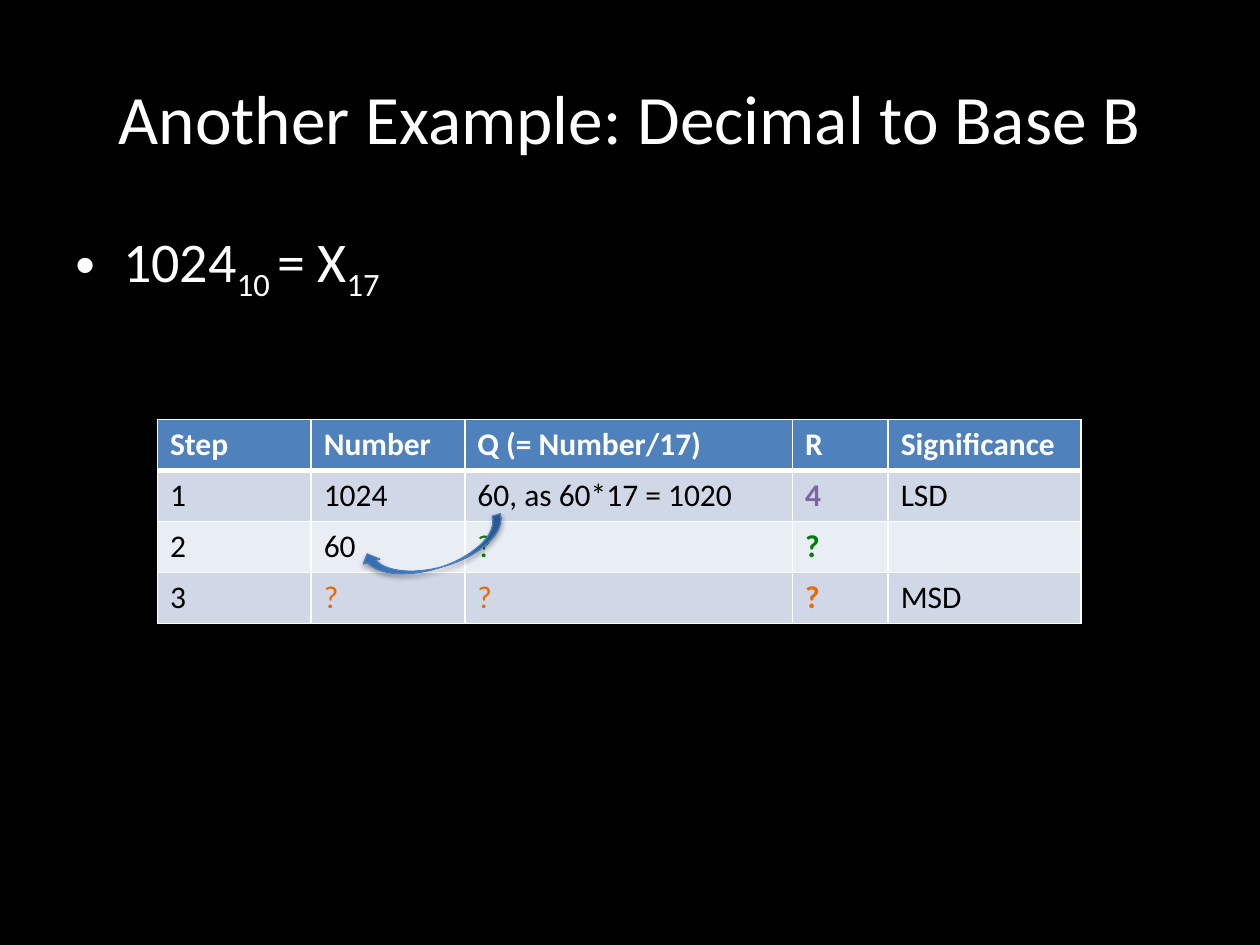
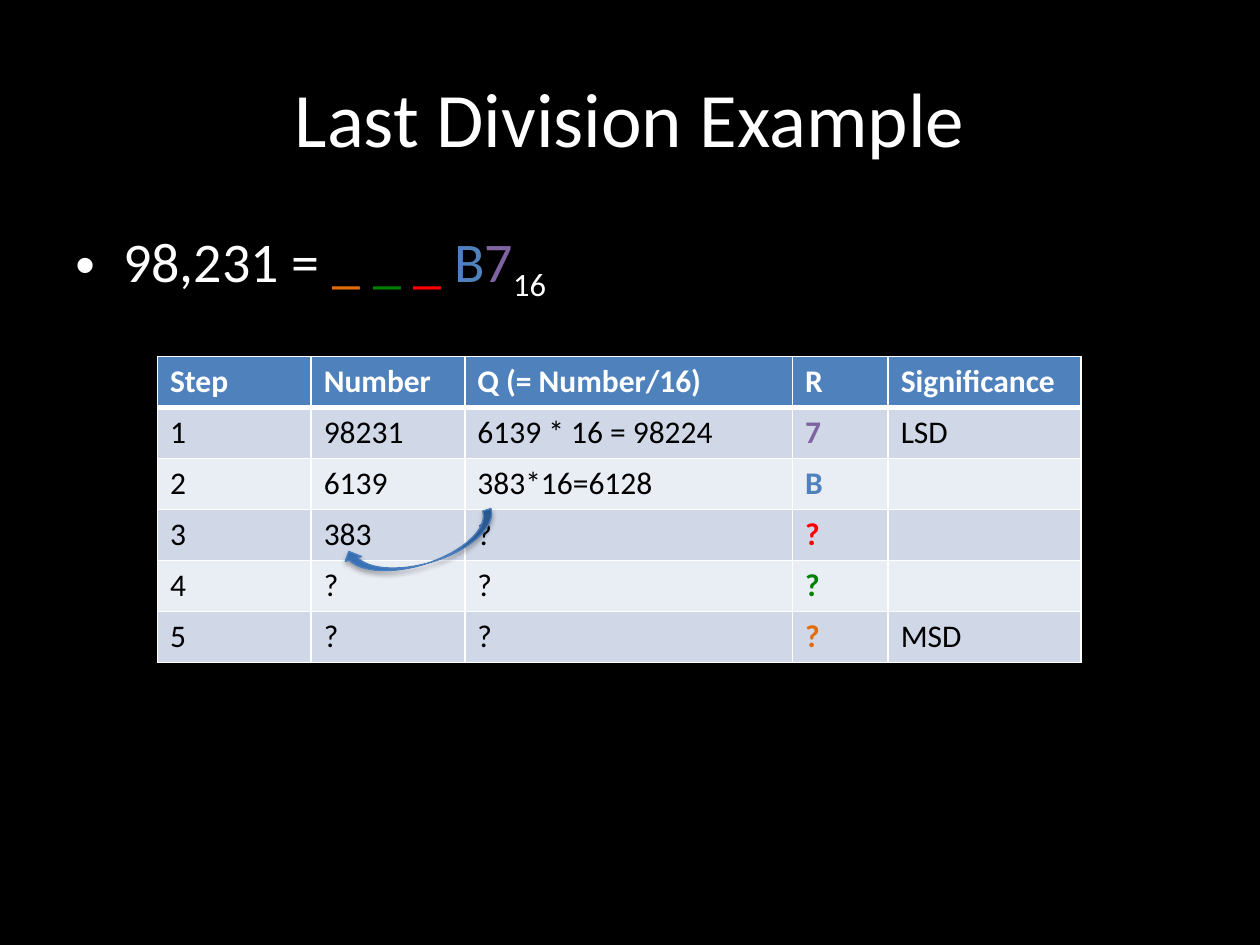
from copy import deepcopy

from lxml import etree
from pptx import Presentation
from pptx.dml.color import RGBColor
from pptx.enum.shapes import MSO_SHAPE
from pptx.enum.text import MSO_ANCHOR, PP_ALIGN
from pptx.oxml.ns import qn
from pptx.util import Inches, Pt

CENTER, LEFT = PP_ALIGN.CENTER, PP_ALIGN.LEFT
TOP, MIDDLE = MSO_ANCHOR.TOP, MSO_ANCHOR.MIDDLE
CURVED = MSO_SHAPE.CURVED_DOWN_ARROW

WIDE, HIGH = 10, 7.5
FONT = "Calibri"
BLACK, WHITE = "000000", "FFFFFF"
BLUE, PURPLE, GREEN, ORANGE, RED = "4F81BD", "8064A2", "008000", "E46C0A", "FF0000"
BANDS = ("E9EDF4", "D0D8E8")
STOPS = ((0, "2F5F99"), (0.8, "3D7CC7"), (1, "3A7CCB"))

# Boxes: left, top, width, height as shares of the slide, in percent
TITLE = (5, 4, 90, 16.67)
BODY = (5, 23.33, 90, 66)
GRID_LEFT, GRID_WIDE, ROW = 12.5, 73.3, 5.4
COLS = (1.22, 1.22, 2.6, 0.76, 1.53)
R_COL = 3


def rgb(code):
    return RGBColor.from_string(code)


def place(box):
    left, top, width, height = box
    return [Inches(share * side / 100) for share, side in
            ((left, WIDE), (top, HIGH), (width, WIDE), (height, HIGH))]


def style(run, size, color, bold=False):
    font = run.font
    font.name, font.size, font.bold = FONT, Pt(size), bold
    font.color.rgb = rgb(color)


def node(parent, tag, **attrs):
    """Append a DrawingML child element and return it."""
    child = etree.SubElement(parent, qn(tag))
    for name, value in attrs.items():
        child.set(name, str(value))
    return child


def add_text(slide, box, parts, size, align=LEFT, anchor=TOP):
    """Add one line of (text, colour, is subscript) parts."""
    frame = slide.shapes.add_textbox(*place(box)).text_frame
    frame.word_wrap, frame.vertical_anchor = True, anchor
    line = frame.paragraphs[0]
    line.alignment = align
    for text, color, sub in parts:
        run = line.add_run()
        run.text = text
        style(run, size, color)
        if sub:
            run._r.get_or_add_rPr().set("baseline", "-25000")
    return line


def add_bullet(slide, parts):
    line = add_text(slide, BODY, parts, 32)
    line.space_before = Pt(6.4)
    props = line._p.get_or_add_pPr()
    indent = Inches(0.38)
    props.set("marL", str(indent))
    props.set("indent", str(-indent))
    node(props, "a:buFont", typeface="Arial")
    node(props, "a:buChar", char="•")


def add_edges(cell, header):
    props = cell._tc.get_or_add_tcPr()
    for index, side in enumerate("LRTB"):
        width = 3 if header and side == "B" else 1
        edge = node(props, f"a:ln{side}", w=Pt(width))
        node(node(edge, "a:solidFill"), "a:srgbClr", val=WHITE)
        props.insert(index, edge)


def add_grid(slide, top, rows):
    """Add the division table and return its box."""
    box = (GRID_LEFT, top, GRID_WIDE, ROW * len(rows))
    table = slide.shapes.add_table(len(rows), len(COLS), *place(box)).table
    for col, share in zip(table.columns, COLS):
        col.width = Inches(WIDE * GRID_WIDE / 100 * share / sum(COLS))
    for r, row in enumerate(rows):
        table.rows[r].height = Inches(HIGH * ROW / 100)
        for c, item in enumerate(row):
            text, color = item if isinstance(item, tuple) else (item, BLACK)
            header = r == 0
            cell = table.cell(r, c)
            cell.fill.solid()
            cell.fill.fore_color.rgb = rgb(BLUE if header else BANDS[r % 2])
            add_edges(cell, header)
            cell.text_frame.text = text
            for run in cell.text_frame.paragraphs[0].runs:
                style(run, 18, WHITE if header else color, header or c == R_COL)
    return box


def add_arrow(slide, grid, left, row, width):
    """Carry a quotient down: left and width are shares of the table."""
    box = (grid[0] + left * grid[2], grid[1] + row * ROW, width * grid[2], 3.6)
    arrow = slide.shapes.add_shape(CURVED, *place(box))
    arrow.rotation = 163.2
    arrow.line.color.rgb, arrow.line.width = rgb("4B7EBC"), Pt(0.75)
    arrow.fill.gradient()
    arrow.fill.gradient_angle = 90
    stops = arrow._element.spPr.find(qn("a:gradFill")).find(qn("a:gsLst"))
    stops.append(deepcopy(stops[-1]))
    for stop, (spot, color) in zip(arrow.fill.gradient_stops, STOPS):
        stop.position, stop.color.rgb = spot, rgb(color)
    arrow.shadow.inherit = False
    effects = arrow._element.spPr.find(qn("a:effectLst"))
    shade = node(effects, "a:outerShdw", blurRad=Pt(3.1), dist=Pt(1.8),
                 dir=90 * 60000, rotWithShape=0)
    node(node(shade, "a:srgbClr", val=BLACK), "a:alpha", val=35000)


def add_slide(deck, title, size, parts, top, base, rows, arrow):
    slide = deck.slides.add_slide(deck.slide_layouts[6])
    slide.background.fill.solid()
    slide.background.fill.fore_color.rgb = rgb(BLACK)
    add_text(slide, TITLE, [(title, WHITE, False)], size, CENTER, MIDDLE)
    add_bullet(slide, parts)
    head = ("Step", "Number", f"Q (= Number/{base})", "R", "Significance")
    grid = add_grid(slide, top, [head, *rows])
    add_arrow(slide, grid, *arrow)


def main():
    deck = Presentation()
    deck.slide_width, deck.slide_height = Inches(WIDE), Inches(HIGH)
    add_slide(
        deck, "Another Example: Decimal to Base B", 39.6,
        [("1024", WHITE, False), ("10 ", WHITE, True),
         ("= X", WHITE, False), ("17", WHITE, True)],
        44.4, 17,
        [("1", "1024", "60, as 60*17 = 1020", ("4", PURPLE), "LSD"),
         ("2", "60", ("?", GREEN), ("?", GREEN), ""),
         ("3", ("?", ORANGE), ("?", ORANGE), ("?", ORANGE), "MSD")],
        (0.22, 2.25, 0.16))
    add_slide(
        deck, "Last Division Example", 44,
        [("98,231 = ", WHITE, False), ("_ ", ORANGE, False),
         ("_ ", GREEN, False), ("_ ", RED, False), ("B", BLUE, False),
         ("7", PURPLE, False), ("16", WHITE, True)],
        37.73, 16,
        [("1", "98231", "6139 * 16 = 98224", ("7", PURPLE), "LSD"),
         ("2", "6139", "383*16=6128", ("B", BLUE), ""),
         ("3", "383", "?", ("?", RED), ""),
         ("4", "?", "?", ("?", GREEN), ""),
         ("5", "?", "?", ("?", ORANGE), "MSD")],
        (0.2, 3.41, 0.17))
    deck.save("out.pptx")


if __name__ == "__main__":
    main()
